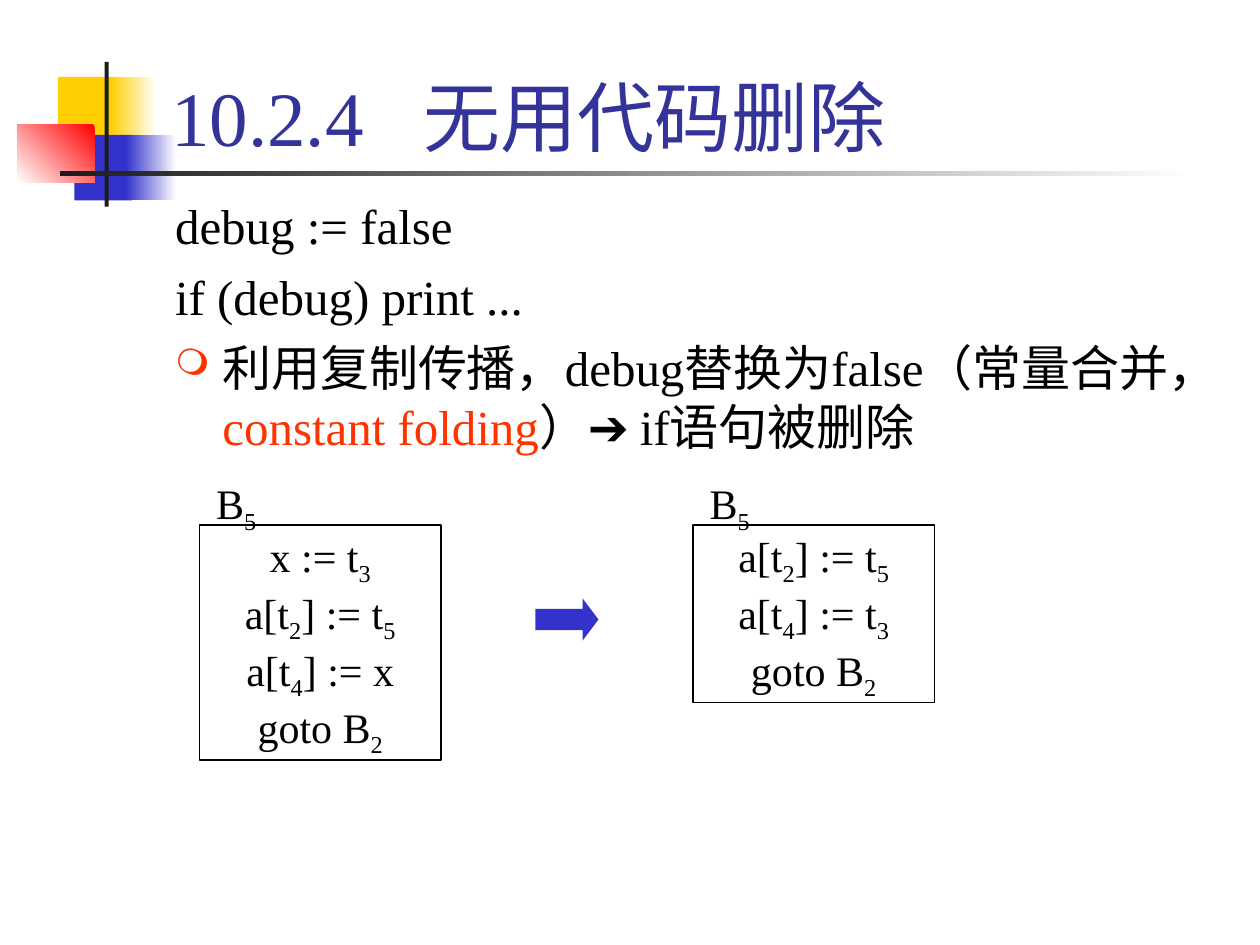
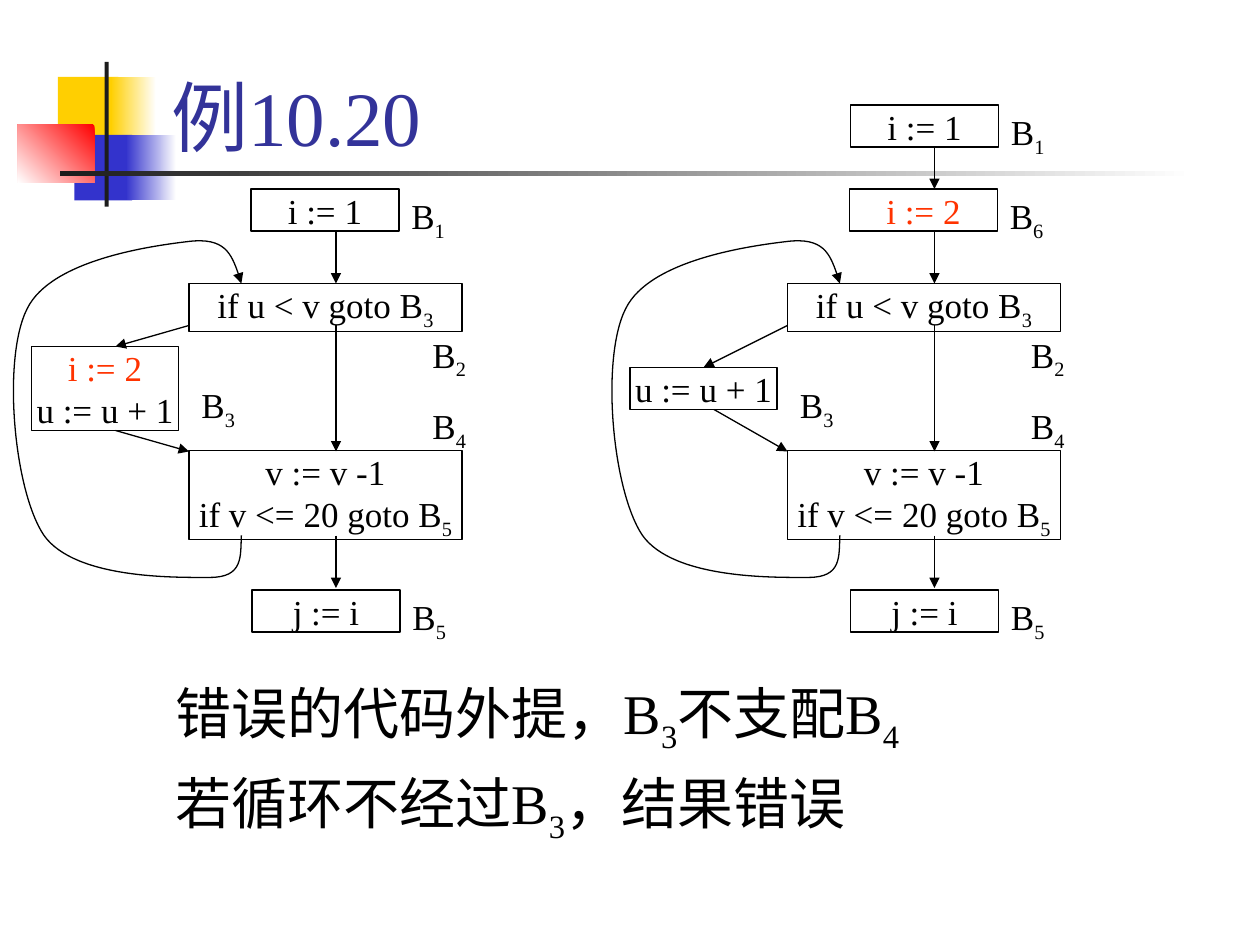
from itertools import groupby
from lxml.etree import SubElement
from pptx import Presentation
from pptx.dml.color import RGBColor
from pptx.enum.shapes import MSO_CONNECTOR, MSO_SHAPE
from pptx.enum.text import MSO_ANCHOR, PP_ALIGN
from pptx.oxml.ns import qn
from pptx.util import Inches, Pt

WHITE = RGBColor(0xFF, 0xFF, 0xFF)
BLACK = RGBColor(0, 0, 0)
COAL = RGBColor(0x1C, 0x1C, 0x1C)
GOLD = RGBColor(0xFF, 0xCF, 0x01)
BLUE = RGBColor(0x33, 0x33, 0xCC)
NAVY = RGBColor(0x33, 0x33, 0x99)
RED = RGBColor(0xFF, 0, 0)
CORAL = RGBColor(0xFF, 0x33, 0)
SERIF, SANS = "Times New Roman", "Arial"

# The slide is a grid of square cells
WIDE, HIGH = Inches(10), Inches(7.5)
COLS = 120
CELL = WIDE / COLS
PAD = (1.2, 0.6)
HANG = 4.5


def cells(*counts):
    return [round(n * CELL) for n in counts]


# ---- Text ----
def spans(text):
    """Split marked text: _ lowers the next character, * toggles coral, ^ sans."""
    tint = sans = low = False
    marks = []
    for char in text:
        if char == "*":
            tint = not tint
        elif char == "^":
            sans = not sans
        elif char == "_":
            low = True
        else:
            marks.append((char, (tint, sans, low)))
            low = False
    for style, group in groupby(marks, key=lambda mark: mark[1]):
        yield "".join(char for char, _ in group), style


def add_bullet(props):
    tint = SubElement(props, qn("a:buClr"))
    SubElement(tint, qn("a:srgbClr"), val=str(CORAL))
    SubElement(props, qn("a:buSzPct"), val="75000")
    SubElement(props, qn("a:buChar"), char="❍")


def write(shape, text, size=20, color=BLACK, align=PP_ALIGN.LEFT, pad=PAD,
          anchor=MSO_ANCHOR.TOP, lead=1.0, gap=0, hang=0, bullets=(), tab=0):
    frame = shape.text_frame
    frame.word_wrap = True
    frame.vertical_anchor = anchor
    frame.margin_left = frame.margin_right = cells(pad[0])[0]
    frame.margin_top = frame.margin_bottom = cells(pad[1])[0]
    for i, line in enumerate(text.split("\n")):
        para = frame.paragraphs[0] if i == 0 else frame.add_paragraph()
        props = para._p.get_or_add_pPr()
        if hang:
            indent = cells(hang)[0]
            props.set("marL", str(indent))
            props.set("indent", str(-indent))
        if i in bullets:
            add_bullet(props)
        if tab:
            stops = SubElement(props, qn("a:tabLst"))
            SubElement(stops, qn("a:tab"), pos=str(cells(tab)[0]), algn="l")
        para.alignment = align
        para.line_spacing = lead
        if i and gap:
            para.space_before = Pt(gap)
        for part, (tint, sans, low) in spans(line):
            run = para.add_run()
            run.text = part
            run.font.size = Pt(size)
            run.font.name = SANS if sans else SERIF
            run.font.color.rgb = CORAL if tint else color
            if low:
                run.font._element.set("baseline", "-25000")


def add_text(slide, box, text, **style):
    write(slide.shapes.add_textbox(*cells(*box)), text, **style)


# ---- Shapes and lines ----
def add_block(slide, box, fill=None, fade=None, kind=MSO_SHAPE.RECTANGLE):
    """Add a shape: filled, faded (two colours and an angle) or outlined."""
    shape = slide.shapes.add_shape(kind, *cells(*box))
    shape.shadow.inherit = False
    if fade:
        shape.fill.gradient()
        shape.fill.gradient_angle = fade[2]
        for stop, tone in zip(shape.fill.gradient_stops, fade):
            stop.color.rgb = tone
    elif fill is not None:
        shape.fill.solid()
        shape.fill.fore_color.rgb = fill
    else:
        shape.fill.background()
        ink(shape)
        return shape
    shape.line.fill.background()
    return shape


def ink(shape, head=False):
    shape.line.color.rgb = BLACK
    shape.line.width = Pt(0.75)
    if head:
        line = shape._element.spPr.find(qn("a:ln"))
        SubElement(line, qn("a:tailEnd"), type="triangle")


def add_arrow(slide, start, end):
    line = slide.shapes.add_connector(MSO_CONNECTOR.STRAIGHT, *cells(*start, *end))
    ink(line, head=True)
    SubElement(line._element.spPr, qn("a:effectLst"))
    return line


def add_curve(slide, points):
    """Draw cubic curves: a start, then two controls and an end for each."""
    first, *rest = [cells(*point) for point in points]
    maker = slide.shapes.build_freeform(*first, scale=1.0)
    maker.add_line_segments(rest, close=False)
    shape = maker.convert_to_shape()
    track = next(shape._element.iter(qn("a:path")))
    legs = track.findall(qn("a:lnTo"))
    for i in range(0, len(legs), 3):
        bend = SubElement(track, qn("a:cubicBezTo"))
        for leg in legs[i:i + 3]:
            bend.append(leg[0])
            track.remove(leg)
    shape.shadow.inherit = False
    shape.fill.background()
    ink(shape, head=True)


# ---- Shared slide frame ----
def add_frame(deck, title):
    slide = deck.slides.add_slide(deck.slide_layouts[6])
    # Coloured squares
    add_block(slide, (5.52, 7.32, 5.76, 6.24), GOLD)
    add_block(slide, (10.56, 7.32, 4.32, 6.24), fade=(WHITE, GOLD, 180))
    add_block(slide, (7.08, 12.84, 5.52, 6.24), BLUE)
    add_block(slide, (12, 12.84, 4.8, 6.24), fade=(WHITE, BLUE, 180))
    add_block(slide, (1.68, 11.88, 7.32, 5.52), fade=(RED, WHITE, 225))
    # Cross bars
    add_block(slide, (9.96, 5.88, 0.4, 13.8), COAL)
    add_block(slide, (5.76, 16.32, 108, 0.4), fade=(WHITE, COAL, 180))
    add_text(slide, (15.12, 1, 102.2, 15), title, size=44, color=NAVY,
             anchor=MSO_ANCHOR.BOTTOM, tab=24)
    return slide


# ---- Dead code slide ----
def add_listing(slide, left, top, high, code):
    style = dict(size=24, align=PP_ALIGN.CENTER, lead=0.9, gap=3)
    write(add_block(slide, (left, top, 23, high)), code, **style)
    add_text(slide, (left, top - 5, 7, 6), "B_5", **style)


def add_dead(deck):
    slide = add_frame(deck, "10.2.4\t无用代码删除")
    add_text(slide, (15.5, 18, 102, 62),
             "debug := false\nif (debug) print ...\n"
             "利用复制传播，debug替换为false（常量合并，*constant folding*）"
             "^➔ ^if语句被删除",
             size=28, gap=7, hang=HANG, bullets=(2,))
    # Before and after
    add_listing(slide, 19, 50, 22.4,
                "x := t_3\na[t_2] := t_5\na[t_4] := x\ngoto B_2")
    add_listing(slide, 66, 50, 16.9, "a[t_2] := t_5\na[t_4] := t_3\ngoto B_2")
    arrow = add_block(slide, (51, 57, 6, 4), BLUE, kind=MSO_SHAPE.RIGHT_ARROW)
    arrow.adjustments[1] = 0.375


# ---- Code motion slide ----
SMALL, BROAD, SIDE = 14.1, 26, 14
LOOP = [(23, 51), (22.9, 53), (23.2, 55), (20, 55),
        (16.9, 55), (7.2, 55.2), (4.2, 51), (1.3, 46.7), (0.2, 34.1), (2.6, 29.4),
        (4.9, 24.7), (14.6, 23.4), (18, 23), (21.4, 22.6), (22.3, 24.6), (23, 27)]


def add_node(slide, box, text, mark, spot):
    node = add_block(slide, box)
    write(node, text, align=PP_ALIGN.CENTER, pad=(0, 0),
          anchor=MSO_ANCHOR.TOP)
    add_text(slide, (*spot, 7, 5.3), mark, lead=0.9)
    return node


def add_small(slide, left, top, text, mark):
    add_node(slide, (left, top, SMALL, 4), text, mark, (left + SMALL, top))


def add_flow(slide, left, entry, mark, side, top, high):
    """Draw a flow graph at a column; side is the text of block B3."""
    mid = left + 32
    # Blocks
    add_small(slide, left + 23.9, 18, entry, mark)
    add_node(slide, (left + 18, 27, BROAD, 4.6), "if u < v goto B_3",
             "B_2", (left + 40, 31.2))
    add_node(slide, (left + 18, 42.9, BROAD, 8.5),
             "v := v -1\nif v <= 20 goto B_5", "B_4", (left + 40, 38))
    add_small(slide, left + 24, 56.2, "j := i", "B_5")
    branch = add_node(slide, (left + 3, top, SIDE, high), side,
                      "B_3", (left + 18, 36))
    # Arrows
    for start, end in ((22, 27), (31, 43), (51, 56)):
        add_arrow(slide, (mid, start), (mid, end))
    add_arrow(slide, (left + 11, top + high), (left + 18, 43))
    add_curve(slide, [(left + x, y) for x, y in LOOP])
    return add_arrow(slide, (left + 18, 31), (left + 11, top)), branch


def add_motion(deck):
    slide = add_frame(deck, "例10.20")
    add_text(slide, (15.5, 64, 102, 19),
             "错误的代码外提，B_3不支配B_4\n若循环不经过B_3，结果错误",
             size=32, gap=8, hang=HANG)
    add_flow(slide, 0, "i := 1", "B_1", "*i := 2*\nu := u + 1", 33, 8)
    # The hoisted version has one more block on top
    shift = 57
    line, branch = add_flow(slide, shift, "*i := 2*", "B_6", "u := u + 1", 35, 4)
    line.end_connect(branch, 0)
    add_small(slide, shift + 24, 10, "i := 1", "B_1")
    add_arrow(slide, (shift + 32, 14), (shift + 32, 18))


def main():
    deck = Presentation()
    deck.slide_width, deck.slide_height = WIDE, HIGH
    add_dead(deck)
    add_motion(deck)
    deck.save("out.pptx")


if __name__ == "__main__":
    main()
